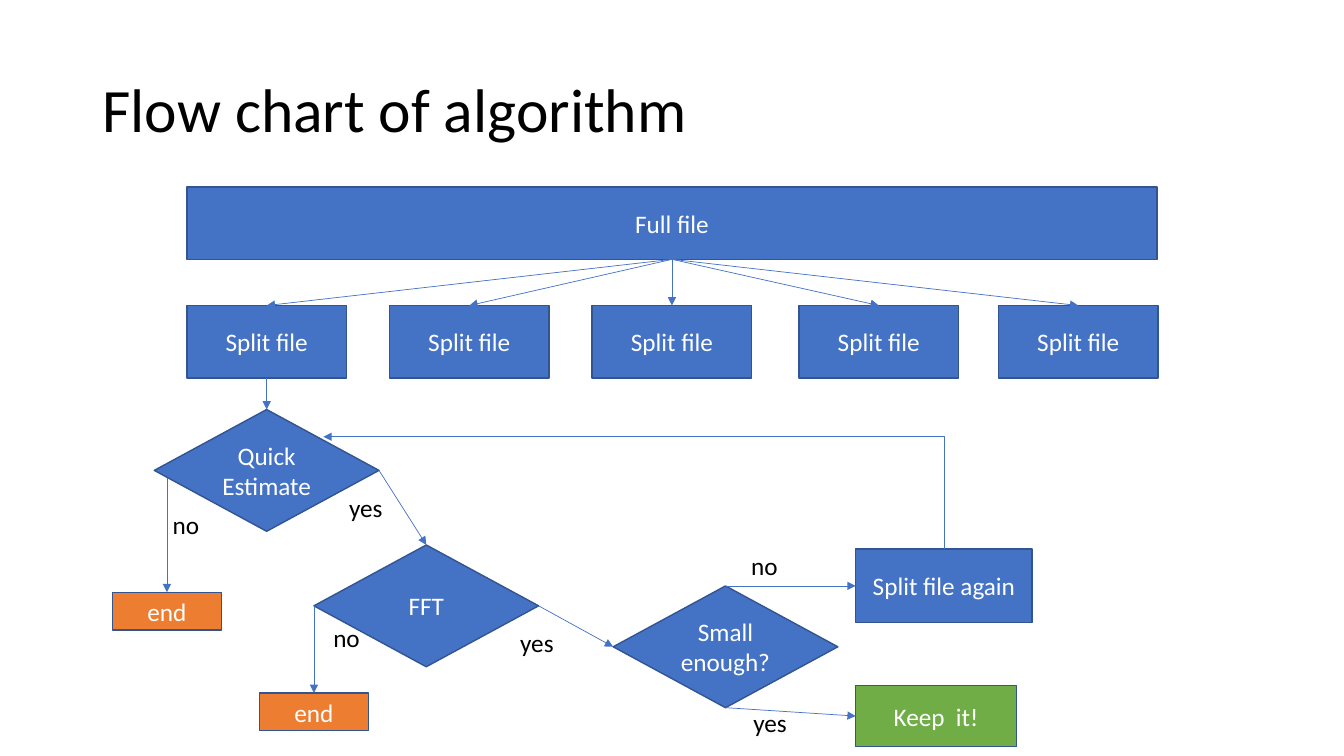
import lxml.etree
import pptx
import pptx.dml.color
import pptx.enum.shapes
import pptx.enum.text
import pptx.oxml.ns
import pptx.util

PX = 9525
BLUE = pptx.dml.color.RGBColor(0x44, 0x72, 0xC4)
OUTLINE = pptx.dml.color.RGBColor(0x32, 0x54, 0x91)
ORANGE = pptx.dml.color.RGBColor(0xED, 0x7D, 0x31)
GREEN = pptx.dml.color.RGBColor(0x70, 0xAD, 0x47)
WHITE = pptx.dml.color.RGBColor(0xFF, 0xFF, 0xFF)
BLACK = pptx.dml.color.RGBColor(0x00, 0x00, 0x00)

BOX = pptx.enum.shapes.MSO_SHAPE.RECTANGLE
DECISION = pptx.enum.shapes.MSO_SHAPE.FLOWCHART_DECISION
STRAIGHT = pptx.enum.shapes.MSO_CONNECTOR.STRAIGHT
ELBOW = pptx.enum.shapes.MSO_CONNECTOR.ELBOW
TOP, LEFT, BOTTOM, RIGHT = range(4)

TITLE_FONT = {"name": "Calibri", "size": pptx.util.Pt(44)}
BODY_FONT = {"name": "Calibri", "size": pptx.util.Pt(18)}
CENTERED = {"alignment": pptx.enum.text.PP_ALIGN.CENTER}
TITLE_PARAGRAPH = {"alignment": pptx.enum.text.PP_ALIGN.LEFT, "line_spacing": 0.9}
MIDDLE = {"word_wrap": True, "vertical_anchor": pptx.enum.text.MSO_ANCHOR.MIDDLE}
LABEL_FRAME = {"word_wrap": True, "auto_size": pptx.enum.text.MSO_AUTO_SIZE.SHAPE_TO_FIT_TEXT}

SPLIT_LEFTS = [178, 371, 564, 761, 951]
BRANCH_LABELS = [
    ("no", 155, 480), ("yes", 323, 464),
    ("no", 308, 588), ("yes", 486, 593),
    ("no", 706, 519), ("yes", 708, 669),
]


def px(*lengths):
    return [length * PX for length in lengths]


def apply(target, values):
    for name, value in values.items():
        setattr(target, name, value)


def write(holder, text, color, font, paragraph_format, frame_format):
    frame = holder.text_frame
    frame.text = text
    apply(frame, frame_format)
    paragraph = frame.paragraphs[0]
    apply(paragraph, paragraph_format)
    apply(paragraph.font, font)
    paragraph.font.color.rgb = color


def add_title(slide, text):
    title = slide.shapes.title
    apply(title, dict(zip(("left", "top", "width", "height"), px(88, 38, 1104, 139))))
    write(title, text, BLACK, TITLE_FONT, TITLE_PARAGRAPH, MIDDLE)


def add_step(slide, text, bounds, kind=BOX, fill=BLUE):
    step = slide.shapes.add_shape(kind, *px(*bounds))
    step.shadow.inherit = False
    step.fill.solid()
    step.fill.fore_color.rgb = fill
    step.line.color.rgb = OUTLINE
    step.line.width = pptx.util.Pt(1)
    write(step, text, WHITE, BODY_FONT, CENTERED, MIDDLE)
    return step


def add_decision(slide, text, left, top):
    return add_step(slide, text, (left, top, 214, 116), DECISION)


def add_end(slide, left, top):
    return add_step(slide, "end", (left, top, 104, 36), fill=ORANGE)


def add_label(slide, text, left, top):
    label = slide.shapes.add_textbox(*px(left, top, 56, 38))
    write(label, text, BLACK, BODY_FONT, {}, LABEL_FRAME)


def add_arrow(slide, kind, *ends):
    arrow = slide.shapes.add_connector(kind, *px(*ends))
    arrow.line.color.rgb = BLUE
    arrow.line.width = pptx.util.Pt(0.5)
    properties = arrow._element.spPr
    outline = properties.find(pptx.oxml.ns.qn("a:ln"))
    lxml.etree.SubElement(outline, pptx.oxml.ns.qn("a:tailEnd"), type="triangle")
    lxml.etree.SubElement(properties, pptx.oxml.ns.qn("a:effectLst"))
    return arrow


def link(slide, source, source_side, target, target_side):
    arrow = add_arrow(slide, STRAIGHT, 0, 0, 0, 0)
    arrow.begin_connect(source, source_side)
    arrow.end_connect(target, target_side)


def add_return_arrow(slide, start_x, start_y, end_x, end_y):
    run, rise = start_x - end_x, start_y - end_y
    left = (start_x + end_x - rise) // 2
    top = (start_y + end_y - run) // 2
    arrow = add_arrow(slide, ELBOW, left, top + run, left + rise, top)
    arrow.rotation = 270
    geometry = arrow._element.spPr.find(pptx.oxml.ns.qn("a:prstGeom"))
    geometry.set("prst", "bentConnector2")


def main():
    deck = pptx.Presentation()
    deck.slide_width, deck.slide_height = px(1280, 720)
    slide = deck.slides.add_slide(deck.slide_layouts[5])
    add_title(slide, "Flow chart of algorithm")

    full_file = add_step(slide, "Full file", (178, 178, 924, 69))
    splits = [add_step(slide, "Split file", (left, 291, 152, 69)) for left in SPLIT_LEFTS]
    estimate = add_decision(slide, "Quick Estimate", 147, 390)
    fft = add_decision(slide, "FFT", 299, 519)
    small_enough = add_decision(slide, "Small enough?", 584, 558)
    estimate_end = add_end(slide, 107, 564)
    fft_end = add_end(slide, 247, 660)
    split_again = add_step(slide, "Split file again", (815, 523, 168, 70))
    keep = add_step(slide, "Keep  it!", (815, 653, 153, 58), fill=GREEN)

    for split in splits:
        link(slide, full_file, BOTTOM, split, TOP)
    link(slide, splits[0], BOTTOM, estimate, TOP)
    link(slide, estimate, RIGHT, fft, TOP)
    link(slide, fft, LEFT, fft_end, TOP)
    link(slide, fft, RIGHT, small_enough, LEFT)
    link(slide, small_enough, TOP, split_again, LEFT)
    link(slide, small_enough, BOTTOM, keep, LEFT)
    add_arrow(slide, STRAIGHT, 159, 455, 159, 564).end_connect(estimate_end, TOP)
    add_return_arrow(slide, 899, 523, 308, 416)

    for text, left, top in BRANCH_LABELS:
        add_label(slide, text, left, top)
    deck.save("out.pptx")


if __name__ == "__main__":
    main()
